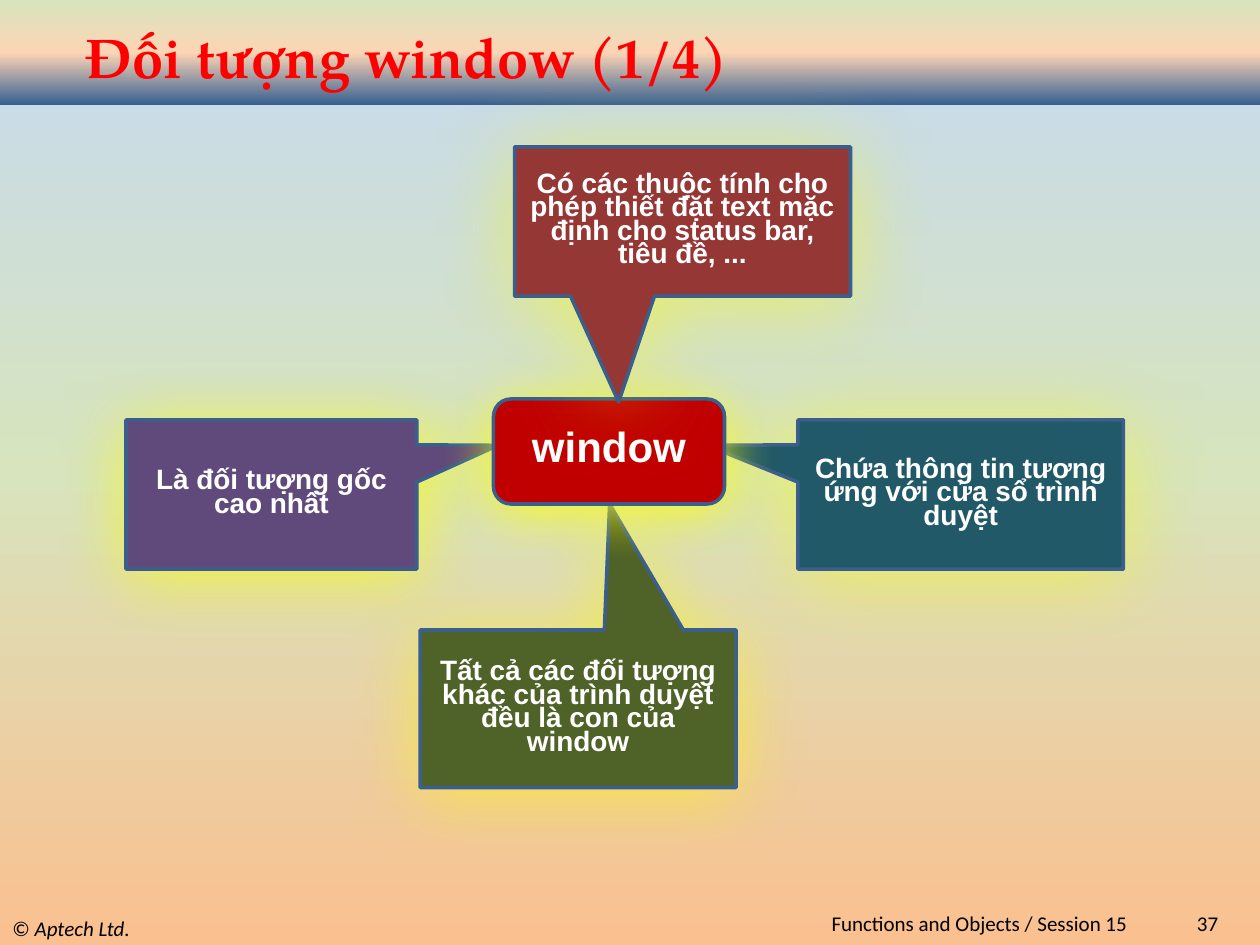
from copy import deepcopy
from dataclasses import dataclass

from lxml.etree import SubElement
from pptx import Presentation
from pptx.dml.color import RGBColor
from pptx.enum.shapes import MSO_SHAPE as Preset
from pptx.enum.text import MSO_ANCHOR as Anchor, PP_ALIGN as Align
from pptx.oxml.ns import qn
from pptx.util import Inches, Pt


@dataclass(frozen=True)
class Theme:
    width: float = 10
    height: float = 7.5
    columns: int = 120
    rows: int = 90
    backdrop: tuple = ("FAC090", "D7E4BD", "C6D9F1")
    band: tuple = ("376092", "FCD5B5", "D7E4BD")
    heading: str = "FF0000"
    ink: str = "000000"
    light: str = "FFFFFF"
    border: str = "3A5F8C"
    glow: str = "FFFF00"
    hub: str = "C00000"
    purple: str = "604A7B"
    teal: str = "215968"
    green: str = "4F6228"
    brick: str = "953735"
    heading_font: str = "TeX Gyre Pagella"
    body_font: str = "Arial"
    footer_font: str = "Calibri"
    heading_size: int = 32
    hub_size: int = 24
    body_size: int = 16
    footer_size: int = 12


class SlideBuilder:
    def __init__(self, theme):
        self.theme = theme
        self.deck = Presentation()
        self.deck.slide_width = Inches(theme.width)
        self.deck.slide_height = Inches(theme.height)
        self.slide = self.deck.slides.add_slide(self.deck.slide_layouts[6])
        self.gradient(self.slide.background.fill, self.slide.element, theme.backdrop)

    def place(self, left, top, width, height):
        column = self.theme.width / self.theme.columns
        row = self.theme.height / self.theme.rows
        return [Inches(left * column), Inches(top * row),
                Inches(width * column), Inches(height * row)]

    def gradient(self, fill, owner, colors):
        fill.gradient()
        fill.gradient_angle = 90
        stops = owner.find(".//" + qn("a:gsLst"))
        stops.append(deepcopy(stops[-1]))
        for index, (stop, color) in enumerate(zip(fill.gradient_stops, colors)):
            stop.position = index / (len(colors) - 1)
            stop.color.rgb = RGBColor.from_string(color)

    def set_text(self, shape, runs, align, color, line_spacing=None, **style):
        frame = shape.text_frame
        frame.word_wrap = True
        frame.vertical_anchor = Anchor.MIDDLE
        paragraph = frame.paragraphs[0]
        paragraph.alignment = align
        paragraph.line_spacing = line_spacing
        for text, extra in runs:
            run = paragraph.add_run()
            run.text = text
            for key, value in {**style, **extra}.items():
                setattr(run.font, key, value)
            run.font.color.rgb = RGBColor.from_string(color)

    def band(self, *cells):
        band = self.slide.shapes.add_shape(Preset.RECTANGLE, *self.place(*cells))
        band.shadow.inherit = False
        band.line.fill.background()
        self.gradient(band.fill, band.element, self.theme.band)

    def title(self, text, *cells):
        box = self.slide.shapes.add_textbox(*self.place(*cells))
        self.set_text(box, [(text, {})], Align.LEFT, self.theme.heading, bold=True,
                      name=self.theme.heading_font, size=Pt(self.theme.heading_size))

    def footer(self, runs, align, *cells):
        box = self.slide.shapes.add_textbox(*self.place(*cells))
        self.set_text(box, runs, align, self.theme.ink,
                      name=self.theme.footer_font, size=Pt(self.theme.footer_size))

    def glow(self, shape, opacity, blur):
        shape.shadow.inherit = False
        effects = shape.element.spPr.find(qn("a:effectLst"))
        shadow = SubElement(effects, qn("a:outerShdw"), blurRad=str(Pt(blur)),
                            dist=str(Pt(4)), dir="5400000", algn="ctr", rotWithShape="0")
        color = SubElement(shadow, qn("a:srgbClr"), val=self.theme.glow)
        SubElement(color, qn("a:alpha"), val=str(opacity * 1000))

    def panel(self, preset, text, cells, color, glow, size):
        panel = self.slide.shapes.add_shape(preset, *self.place(*cells))
        panel.fill.solid()
        panel.fill.fore_color.rgb = RGBColor.from_string(color)
        panel.line.color.rgb = RGBColor.from_string(self.theme.border)
        panel.line.width = Pt(2)
        self.glow(panel, *glow)
        self.set_text(panel, [(text, {})], Align.CENTER, self.theme.light, 0.7,
                      name=self.theme.body_font, size=Pt(size), bold=True)
        return panel

    def callout(self, text, cells, tip, color, glow):
        callout = self.panel(Preset.RECTANGULAR_CALLOUT, text, cells, color, glow,
                             self.theme.body_size)
        for index, share in enumerate(tip):
            callout.adjustments[index] = share

    def hub(self, text, cells, glow):
        self.panel(Preset.ROUNDED_RECTANGLE, text, cells, self.theme.hub, glow,
                   self.theme.hub_size)


def main():
    theme = Theme()
    page = SlideBuilder(theme)
    page.band(0, 0, 120, 10)
    page.footer([("© ", {}), ("Aptech Ltd.", {"italic": True})], Align.LEFT,
                0, 86.8, 40, 3.2)
    page.footer([("37", {})], Align.RIGHT, 107, 86.8, 10.2, 2.2)
    page.footer([("Functions and Objects / Session 15 ", {})], Align.RIGHT,
                30, 86.8, 79, 2.2)
    page.title("Đối tượng window (1/4)", 7, 2.6, 100, 5.4)
    page.callout("Là đối tượng gốc cao nhất",
                 (12, 40, 27.7, 14.2), (0.78, -0.33), theme.purple, (67, 39))
    page.callout("Chứa thông tin tương ứng với cửa sổ trình duyệt",
                 (76, 40, 31, 14.2), (-0.78, -0.33), theme.teal, (50, 46))
    page.callout("Tất cả các đối tượng khác của trình duyệt đều là con của window",
                 (40, 60, 30.1, 15), (0.1, -1.3), theme.green, (53, 40))
    page.hub("window", (47, 38, 22, 10), (82, 31))
    page.callout("Có các thuộc tính cho phép thiết đặt text mặc định cho status bar, "
                 "tiêu đề, ...",
                 (49, 14, 32, 14.2), (-0.19, 1.21), theme.brick, (50, 46))
    page.deck.save("out.pptx")


if __name__ == "__main__":
    main()
